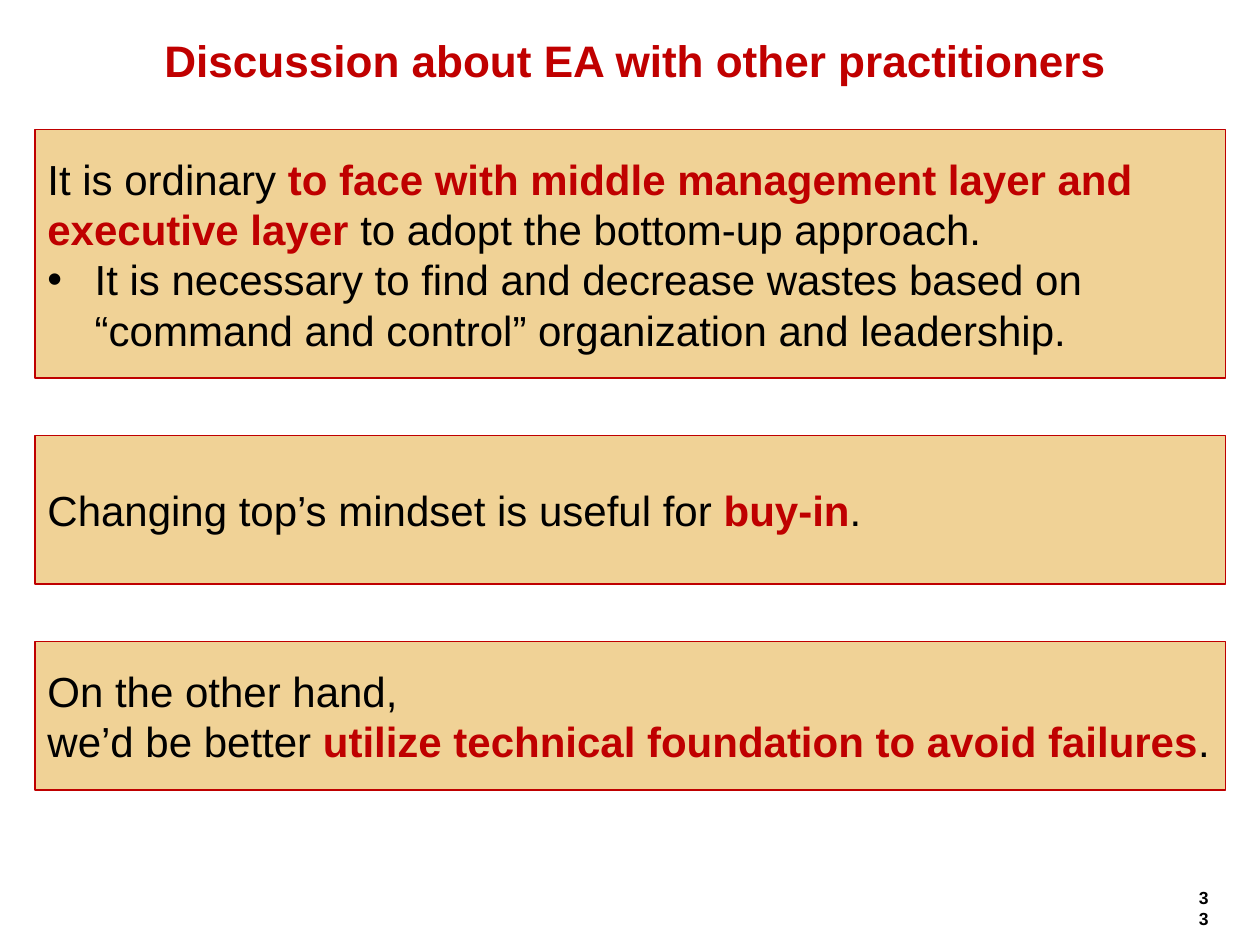
from pptx import Presentation
from pptx.dml.color import RGBColor
from pptx.enum.shapes import MSO_SHAPE
from pptx.enum.text import MSO_ANCHOR, PP_ALIGN
from pptx.oxml.ns import qn
from pptx.util import Pt
from lxml import etree

RECT = MSO_SHAPE.RECTANGLE
MIDDLE, TOP = MSO_ANCHOR.MIDDLE, MSO_ANCHOR.TOP
LEFT, CENTER, RIGHT = PP_ALIGN.LEFT, PP_ALIGN.CENTER, PP_ALIGN.RIGHT

COLORS = {"text": "000000", "title": "C00000", "key": "BF0000", "sand": "F0D296"}


class Deck:
    """Holds the text style and the current slide."""

    font = "Arial"
    indent = 27

    def __init__(self, wide, high):
        self.prs = Presentation()
        self.prs.slide_width, self.prs.slide_height = Pt(wide), Pt(high)
        self.slide = self.prs.slides.add_slide(self.prs.slide_layouts[6])

    def color(self, name):
        return RGBColor.from_string(COLORS[name])

    def run(self, para, text, size, color="text", bold=False):
        run = para.add_run()
        run.text = text
        font = run.font
        font.name, font.size, font.bold = self.font, Pt(size), bold
        font.color.rgb = self.color(color)

    def bullet(self, para):
        props = para._p.get_or_add_pPr()
        props.set("marL", str(Pt(self.indent)))
        props.set("indent", str(-Pt(self.indent)))
        etree.SubElement(props, qn("a:buFont")).set("typeface", self.font)
        etree.SubElement(props, qn("a:buChar")).set("char", "•")

    def label(self, text, box, size, color, align, anchor):
        shape = self.slide.shapes.add_textbox(*map(Pt, box))
        frame = shape.text_frame
        frame.word_wrap, frame.vertical_anchor = True, anchor
        para = frame.paragraphs[0]
        para.alignment = align
        self.run(para, text, size, color, True)

    def panel(self, box, paras, size=24):
        """Each paragraph is (has bullet, [(text, is key), ...])."""
        shape = self.slide.shapes.add_shape(RECT, *map(Pt, box))
        shape.shadow.inherit = False
        shape.fill.solid()
        shape.fill.fore_color.rgb = self.color("sand")
        shape.line.color.rgb = self.color("key")
        shape.line.width = Pt(0.75)
        frame = shape.text_frame
        frame.word_wrap, frame.vertical_anchor = True, MIDDLE
        for i, (dot, runs) in enumerate(paras):
            para = frame.add_paragraph() if i else frame.paragraphs[0]
            para.alignment = LEFT
            if dot:
                self.bullet(para)
            for text, key in runs:
                self.run(para, text, size, "key" if key else "text", key)


# Panels from top to bottom: height and paragraphs
PANELS = [
    (141.8, [
        (False, [("It is ordinary ", False),
                 ("to face with middle management layer and executive layer", True),
                 (" to adopt the bottom-up approach.", False)]),
        (True, [("It is necessary to find and decrease wastes based on "
                 "“command and control” organization and leadership.", False)]),
    ]),
    (85, [
        (False, [("Changing top’s mindset is useful for ", False),
                 ("buy-in", True), (".", False)]),
    ]),
    (85, [
        (False, [("On the other hand,", False)]),
        (False, [("we’d be better ", False),
                 ("utilize technical foundation to avoid failures", True),
                 (".", False)]),
    ]),
]


def main():
    deck = Deck(720, 540)

    # Page number and title
    deck.label("33", (677.5, 503.3, 20.2, 19.4), 10, "text", RIGHT, TOP)
    deck.label(" Discussion about EA with other practitioners",
               (28, 20.2, 663, 28), 25.2, "title", CENTER, MIDDLE)

    # Statement panels, stacked with equal gaps
    top, gap = 74.2, 32.75
    for high, paras in PANELS:
        deck.panel((20, top, 680.4, high), paras)
        top += high + gap

    deck.prs.save("out.pptx")


if __name__ == "__main__":
    main()
